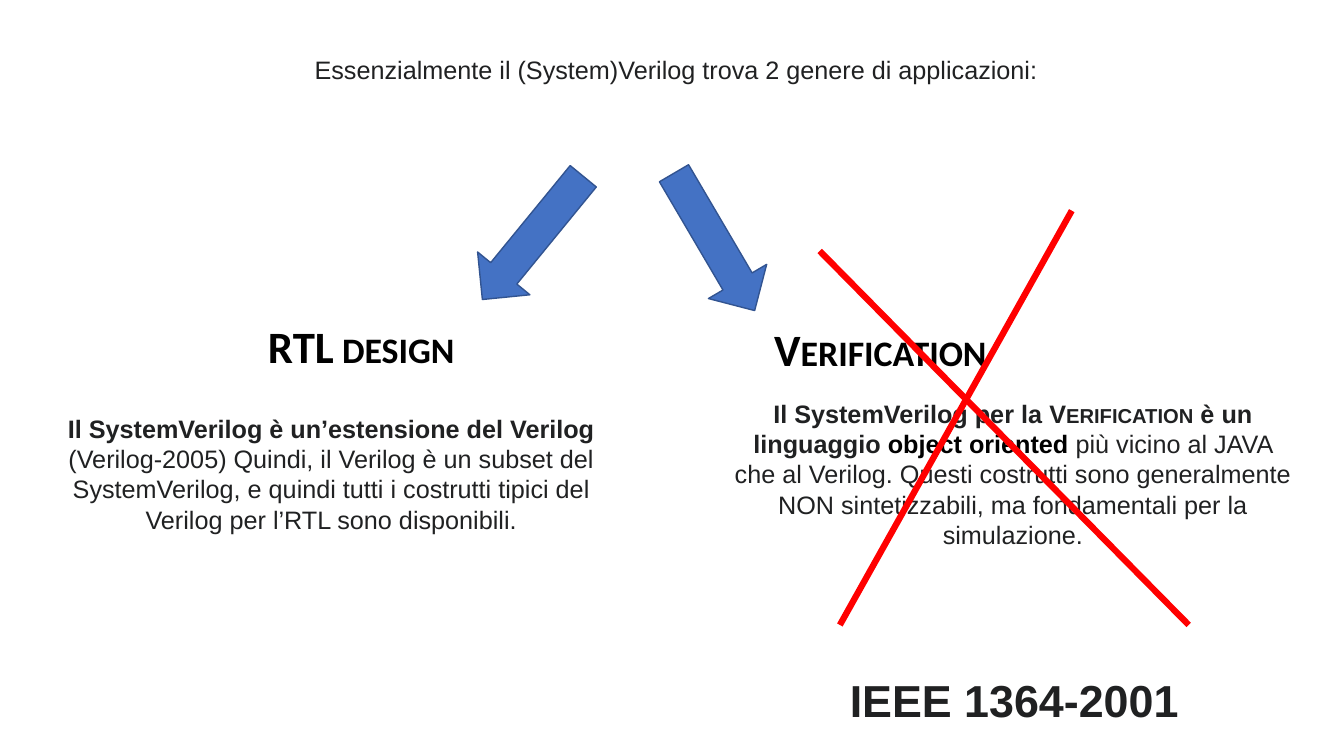
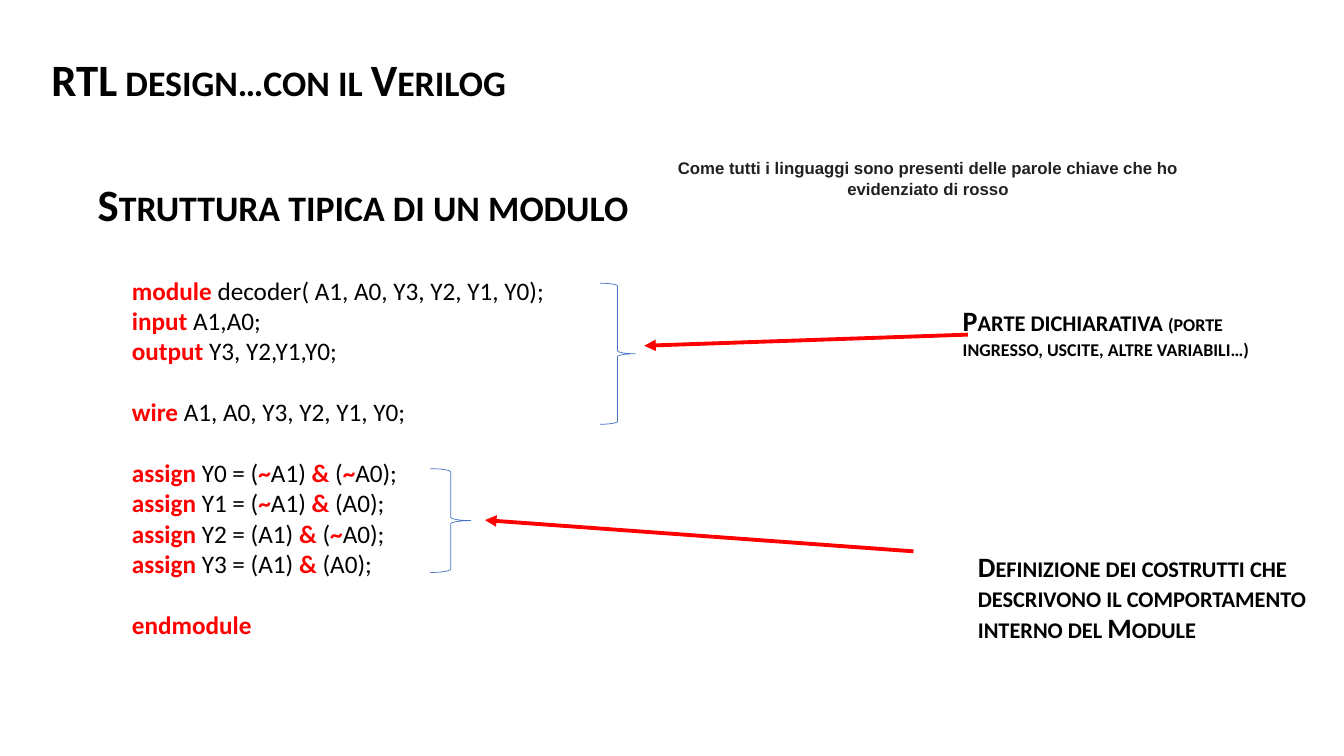
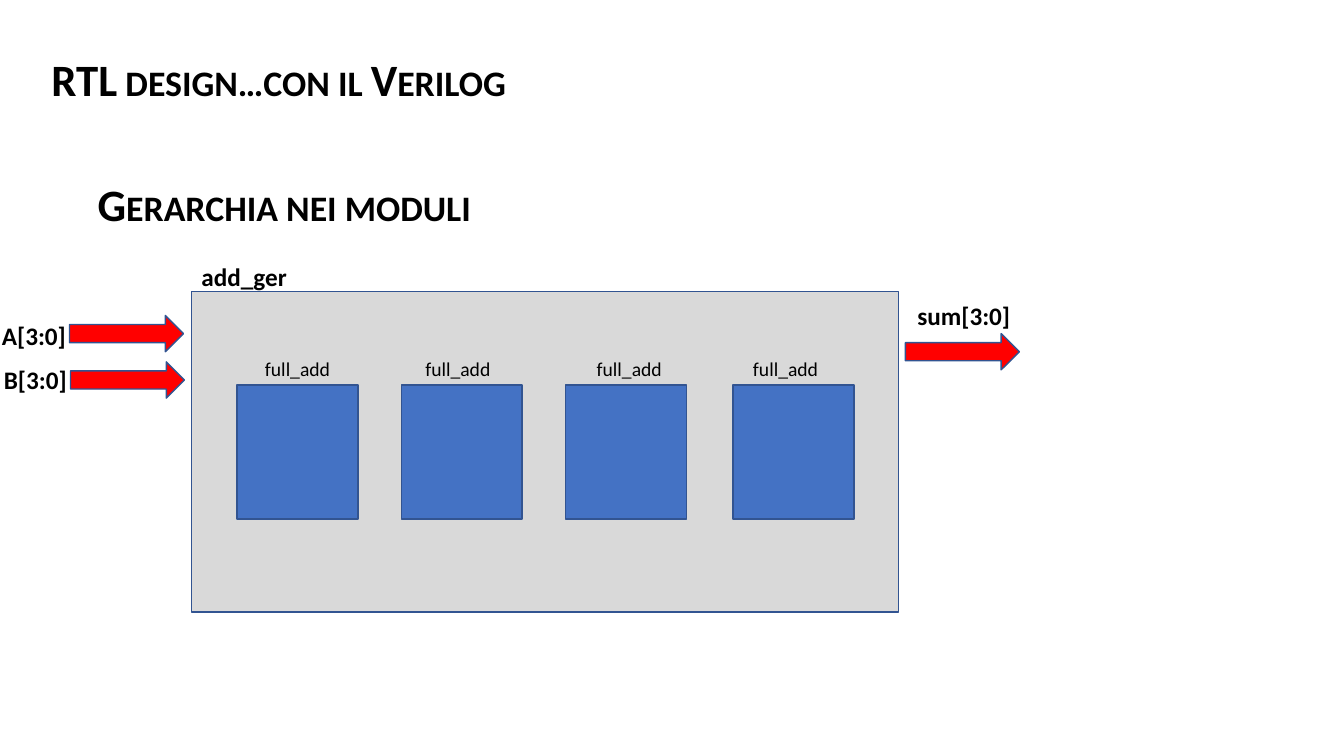
from dataclasses import dataclass

from lxml import etree
from pptx import Presentation
from pptx import util as u
from pptx.dml.color import RGBColor
from pptx.enum import shapes, text
from pptx.oxml import ns


@dataclass(frozen=True)
class Theme:
    """Colours, fonts and type sizes shared by the slides."""
    blue: str = "4472C4"
    outline: str = "325491"
    red: str = "FF0000"
    grey: str = "D9D9D9"
    white: str = "FFFFFF"
    black: str = "000000"
    ink: str = "202122"
    heading_font: str = "Calibri"
    body_font: str = "Arial"
    heading: int = 32
    callout: int = 20
    body: int = 18
    detail: int = 16
    label: int = 14
    note: int = 12


THEME = Theme()
BODY = dict(font=THEME.body_font, color=THEME.ink)
HEADING = dict(size=THEME.heading, bold=True, small=True, spacing=0.9)
CALLOUT = dict(HEADING, size=THEME.callout)
KEYWORD = dict(color=THEME.red, bold=True)
LEFT, CENTER = text.PP_ALIGN.LEFT, text.PP_ALIGN.CENTER
GEOMETRY = shapes.MSO_SHAPE


@dataclass(frozen=True)
class Box:
    """A rectangle in inches."""
    left: float
    top: float
    width: float
    height: float

    def inner(self, dx, dy, width, height):
        """Return a box offset from this one's corner."""
        return Box(self.left + dx, self.top + dy, width, height)

    def emu(self):
        """Return the four measures as lengths."""
        return [u.Inches(v) for v in (self.left, self.top, self.width, self.height)]


def format_run(run, font=THEME.heading_font, size=THEME.body, color=THEME.black,
               bold=False, small=False):
    """Format one run of text."""
    run.font.name, run.font.size, run.font.bold = font, u.Pt(size), bold
    run.font.color.rgb = RGBColor.from_string(color)
    if small:
        run.font._element.set("cap", "small")


def write(shape, *lines, align=LEFT, anchor=text.MSO_ANCHOR.TOP, wrap=True,
          spacing=None, gaps=None, **style):
    """Fill a shape with lines, each a string or a list of (text, changes) runs."""
    frame = shape.text_frame
    frame.word_wrap, frame.vertical_anchor = wrap, anchor
    frame.auto_size = text.MSO_AUTO_SIZE.NONE
    for index, line in enumerate(lines):
        paragraph = frame.add_paragraph() if index else frame.paragraphs[0]
        paragraph.alignment = align
        if spacing:
            paragraph.line_spacing = spacing
        if gaps and index in gaps:
            paragraph.space_before = u.Pt(gaps[index])
        for words, changes in [(line, {})] if isinstance(line, str) else line:
            run = paragraph.add_run()
            run.text = words
            format_run(run, **{**style, **changes})
    return shape


def add_text(slide, box, *lines, **style):
    """Add a text box holding the lines."""
    return write(slide.shapes.add_textbox(*box.emu()), *lines, **style)


def add_figure(slide, geometry, box, fill=None, line=THEME.outline, weight=1, turn=0):
    """Add a preset shape with plain fill and outline."""
    figure = slide.shapes.add_shape(geometry, *box.emu())
    figure.shadow.inherit = False
    figure.rotation = turn
    if fill:
        figure.fill.solid()
        figure.fill.fore_color.rgb = RGBColor.from_string(fill)
    else:
        figure.fill.background()
    if line:
        figure.line.color.rgb = RGBColor.from_string(line)
        figure.line.width = u.Pt(weight)
    else:
        figure.line.fill.background()
    return figure


def add_red_line(slide, start, end, weight, arrow=False):
    """Draw a straight red line, with an arrowhead at its end if asked."""
    stroke = slide.shapes.add_connector(
        shapes.MSO_CONNECTOR.STRAIGHT, *[u.Inches(v) for v in (*start, *end)])
    stroke.line.color.rgb = RGBColor.from_string(THEME.red)
    stroke.line.width = u.Pt(weight)
    if arrow:
        etree.SubElement(stroke.line._get_or_add_ln(), ns.qn("a:tailEnd"), type="triangle")
    etree.SubElement(stroke._element.spPr, ns.qn("a:effectLst"))


def add_slide(deck, box, title, **style):
    """Add a title-only slide and place its title."""
    slide = deck.slides.add_slide(deck.slide_layouts[5])
    heading = slide.shapes.title
    heading.left, heading.top, heading.width, heading.height = box.emu()
    write(heading, title, **style)
    return slide


def add_rtl_slide(deck, subtitle):
    """Add a slide of the RTL chapter with its subtitle."""
    slide = add_slide(deck, Box(0.41, 0.52, 5.4, 0.64), "RTL design…con il Verilog", **HEADING)
    add_text(slide, Box(0.87, 1.76, 5.8, 0.6), subtitle, **HEADING)
    return slide


def add_use(slide, box, name, name_box, description):
    """Place one use of the language: its name and its description."""
    add_text(slide, name_box, name, **HEADING)
    add_text(slide, box, description, align=CENTER, **BODY)


def add_cross(slide, box):
    """Strike out a region with two red lines."""
    bottom = box.top + box.height
    add_red_line(slide, (box.left, box.top + 0.4), (box.left + box.width, bottom), 4.5)
    add_red_line(slide, (box.left + 2.5, box.top), (box.left + 0.2, bottom), 4.5)


def build_uses(deck):
    """Build the slide on the two uses of the language."""
    slide = add_slide(deck, Box(3.02, 0.49, 10.63, 0.4),
                      "Essenzialmente il (System)Verilog trova 2 genere di applicazioni:", **BODY)
    for left, top, turn in ((4.95, 1.57, 39.3), (6.75, 1.61, 329.6)):
        add_figure(slide, GEOMETRY.DOWN_ARROW, Box(left, top, 0.67, 1.58), THEME.blue, turn=turn)
    strong = dict(bold=True)
    add_use(slide, Box(0.41, 4.05, 5.75, 1.31), "RTL design", Box(2.56, 3.17, 2.1, 0.64), [
        ("Il SystemVerilog è un’estensione del Verilog ", strong),
        ("(Verilog-2005) Quindi, il Verilog è un subset del SystemVerilog, e quindi tutti "
         "i costrutti tipici del Verilog per l’RTL sono disponibili.", {})])
    add_use(slide, Box(7.17, 3.9, 5.75, 1.62), "Verification", Box(7.58, 3.2, 2.61, 0.4), [
        ("Il SystemVerilog per la ", strong),
        ("Verification", dict(bold=True, small=True)),
        (" è un linguaggio ", strong),
        ("object oriented ", dict(bold=True, color=THEME.black)),
        ("più vicino al JAVA che al Verilog. Questi costrutti sono generalmente NON "
         "sintetizzabili, ma fondamentali per la simulazione.", {})])
    add_cross(slide, Box(8.13, 2.09, 3.66, 4.11))
    add_text(slide, Box(8.33, 6.62, 4.9, 0.64), "IEEE 1364-2001",
             size=THEME.heading, bold=True, **BODY)


def highlight(line):
    """Split a code line into runs, the parts between asterisks being keywords."""
    return [(part, KEYWORD if index % 2 else {})
            for index, part in enumerate(line.split("*")) if part]


def add_code(slide, box):
    """Place the decoder listing with its keywords in red."""
    code = ("*module* decoder( A1, A0, Y3, Y2, Y1, Y0);",
            "*input* A1,A0;",
            "*output *Y3, Y2,Y1,Y0;",
            "*wire* A1, A0, Y3, Y2, Y1, Y0;",
            "*assign* Y0 = (*~*A1) *&* (*~*A0);",
            "*assign *Y1 = (*~*A1) *&* (A0);",
            "*assign* Y2 = (A1) *&* (*~*A0);",
            "*assign* Y3 = (A1) *&* (A0);",
            "*endmodule*")
    panel = add_figure(slide, GEOMETRY.RECTANGLE, box, THEME.white, line=None)
    write(panel, *map(highlight, code), anchor=text.MSO_ANCHOR.MIDDLE,
          gaps=dict.fromkeys((3, 4, 8), 22))


def add_remark(slide, brace_box, start, end, remark_box, remark):
    """Place a brace, the arrow that points at it and its remark."""
    add_figure(slide, GEOMETRY.RIGHT_BRACE, brace_box, line=THEME.blue, weight=0.5)
    add_red_line(slide, start, end, 2.75, arrow=True)
    add_text(slide, remark_box, remark, **CALLOUT)


def build_module(deck):
    """Build the slide on the structure of a module."""
    slide = add_rtl_slide(deck, "Struttura tipica di un modulo")
    add_code(slide, Box(1.21, 2.49, 4.7, 4.09))
    add_remark(slide, Box(5.95, 2.81, 0.35, 1.4), (9.6, 3.32), (6.39, 3.43),
               Box(9.45, 3, 3.61, 0.63),
               [("Parte dichiarativa ", {}),
                ("(porte ingresso, uscite, altre variabili…)", dict(size=THEME.detail))])
    add_remark(slide, Box(4.27, 4.65, 0.4, 1.03), (9.06, 5.47), (4.81, 5.16),
               Box(9.6, 5.44, 3.61, 0.89),
               "Definizione dei costrutti che descrivono il comportamento interno del Module")
    add_text(slide, Box(6.33, 1.52, 5.75, 0.5),
             "Come tutti i linguaggi sono presenti delle parole chiave che ho evidenziato di rosso",
             align=CENTER, size=THEME.note, bold=True, **BODY)


def add_adder(slide, box):
    """Place the outer module with its four full adders."""
    add_figure(slide, GEOMETRY.RECTANGLE, box, THEME.grey)
    add_text(slide, box.inner(0, -0.35, 1.05, 0.4), "add_ger", bold=True, wrap=False)
    for block, label in ((0.45, 0.63), (2.08, 2.22), (3.71, 3.92), (5.37, 5.47)):
        add_figure(slide, GEOMETRY.RECTANGLE, box.inner(block, 0.93, 1.2, 1.33), THEME.blue)
        add_text(slide, box.inner(label, 0.6, 0.86, 0.34), "full_add",
                 size=THEME.label, wrap=False)


def add_port(slide, box, name, name_box):
    """Place a port arrow and its name."""
    add_figure(slide, GEOMETRY.RIGHT_ARROW, box, THEME.red)
    add_text(slide, name_box, name, bold=True, wrap=False)


def build_hierarchy(deck):
    """Build the slide on the hierarchy of modules."""
    slide = add_rtl_slide(deck, "Gerarchia nei moduli")
    add_adder(slide, Box(1.9, 2.89, 7.01, 3.18))
    for name, left, top, dx, dy, width in (("A[3:0]", 0.69, 3.13, -0.77, 0, 0.85),
                                           ("B[3:0]", 0.7, 3.59, -0.76, -0.02, 0.83),
                                           ("sum[3:0]", 8.98, 3.31, 0.02, -0.38, 1.13)):
        arrow = Box(left, top, 1.13, 0.36)
        add_port(slide, arrow, name, arrow.inner(dx, dy, width, 0.4))


def main():
    """Build and save the deck."""
    deck = Presentation()
    deck.slide_width, deck.slide_height = u.Inches(13.33), u.Inches(7.5)
    for build in (build_uses, build_module, build_hierarchy):
        build(deck)
    deck.save("out.pptx")


if __name__ == "__main__":
    main()
